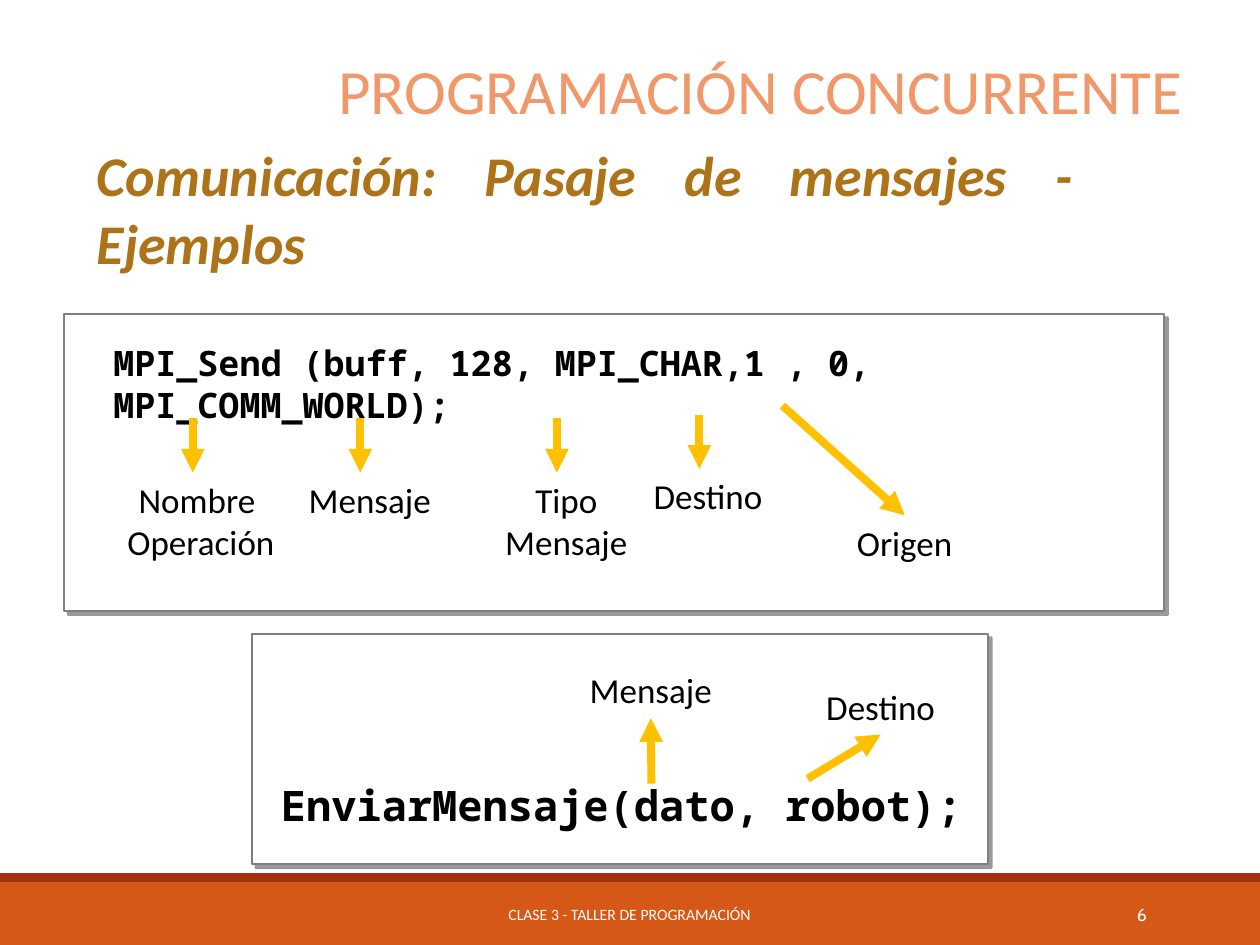
from pptx import Presentation
from pptx.dml.color import RGBColor
from pptx.enum import shapes, text
from pptx.oxml import parse_xml
from pptx.oxml.ns import nsdecls
from pptx.util import Inches, Pt

BLACK = RGBColor(0, 0, 0)
WHITE = RGBColor(255, 255, 255)
GRAY = RGBColor(0x7F, 0x7F, 0x7F)
GOLD = RGBColor(0xFF, 0xC0, 0)
BROWN = RGBColor(0xAD, 0x73, 0x18)
PEACH = RGBColor(0xF0, 0x98, 0x69)
ORANGE = RGBColor(0xD5, 0x58, 0x16)
RED = RGBColor(0xA5, 0x30, 0x0F)
MONO = "Noto Sans Mono"
ALIGN = text.PP_ALIGN
TOP, MID = text.MSO_ANCHOR.TOP, text.MSO_ANCHOR.MIDDLE


def write(shape, words, size=20, font="Calibri", color=BLACK, bold=False,
          italic=False, align=ALIGN.CENTER, anchor=TOP, wrap=True, pad=(0.1, 0.05)):
    frame = shape.text_frame
    frame.text = words
    frame.word_wrap = wrap
    frame.auto_size = text.MSO_AUTO_SIZE.NONE
    frame.vertical_anchor = anchor
    frame.margin_left = frame.margin_right = Inches(pad[0])
    frame.margin_top = frame.margin_bottom = Inches(pad[1])
    for para in frame.paragraphs:
        para.alignment = align
        face = para.runs[0].font
        face.name, face.size = font, Pt(size)
        face.bold, face.italic = bold, italic
        face.color.rgb = color
    return shape


def add_text(slide, box, words, **style):
    return write(slide.shapes.add_textbox(*map(Inches, box)), words, **style)


def add_rect(slide, box, fill):
    rect = slide.shapes.add_shape(shapes.MSO_SHAPE.RECTANGLE, *map(Inches, box))
    rect.shadow.inherit = False
    rect.fill.solid()
    rect.fill.fore_color.rgb = fill
    rect.line.fill.background()
    return rect


def add_card(slide, box):
    """White framed box with a hard shadow to the lower right."""
    card = add_rect(slide, box, WHITE)
    card.line.color.rgb = GRAY
    card.line.width = Pt(1.25)
    card._element.spPr.find("{*}effectLst").append(parse_xml(
        f'<a:outerShdw {nsdecls("a")} blurRad="0" dist="{Pt(3)}" dir="2700000" '
        'algn="tl" rotWithShape="0"><a:srgbClr val="000000">'
        '<a:alpha val="40000"/></a:srgbClr></a:outerShdw>'))


def add_arrow(slide, start, end):
    arrow = slide.shapes.add_connector(
        shapes.MSO_CONNECTOR.STRAIGHT, *map(Inches, start + end))
    arrow.line.color.rgb = GOLD
    arrow.line.width = Pt(4.5)
    arrow.line._get_or_add_ln().append(
        parse_xml(f'<a:tailEnd {nsdecls("a")} type="triangle"/>'))
    arrow._element.spPr.append(parse_xml(f'<a:effectLst {nsdecls("a")}/>'))
    return arrow


def add_note(slide, box, words, start, end, side=None):
    """Label and its arrow; side is where the arrow joins the label, if it does."""
    label = add_text(slide, box, words, wrap=False)
    arrow = add_arrow(slide, start, end)
    if side is not None:
        arrow.end_connect(label, side)


def add_send(slide, box):
    x, y, w, h = box
    add_card(slide, box)
    add_text(slide, (x + 0.39, y + 0.22, w - 0.38, 0.67),
             "MPI_Send (buff, 128, MPI_CHAR,1 , 0, MPI_COMM_WORLD);",
             font=MONO, bold=True, align=ALIGN.LEFT, anchor=MID, pad=(0, 0))
    for words, left, top, wide, high, tip in (
            ("Nombre \nOperación", 0.4, 1.26, 1.37, 0.77, 1.02),
            ("Mensaje", 1.84, 1.26, 1.17, 0.44, 2.35),
            ("Tipo\nMensaje", 3.4, 1.26, 1.17, 0.77, 3.91),
            ("Destino", 4.58, 1.23, 1.06, 0.44, 5.04)):
        add_note(slide, (x + left, y + top, wide, high), words,
                 (x + tip, y + top - 0.43), (x + tip, y + top))
    add_note(slide, (x + 6.19, y + 1.6, 0.96, 0.44), "Origen",
             (x + 5.7, y + 0.73), (x + 6.67, y + 1.6), side=0)


def add_call(slide, box):
    x, y, w, h = box
    add_card(slide, box)
    add_text(slide, (x + 0.23, y + 1.16, w - 0.23, 0.4),
             "EnviarMensaje(dato, robot);", size=24, font=MONO, bold=True,
             align=ALIGN.LEFT, anchor=MID, pad=(0, 0))
    add_note(slide, (x + 2.58, y + 0.23, 1.17, 0.44), "Mensaje",
             (x + 3.17, y + 1.19), (x + 3.17, y + 0.68), side=2)
    add_note(slide, (x + 4.46, y + 0.36, 1.06, 0.44), "Destino",
             (x + 4.41, y + 1.15), (x + 4.99, y + 0.79), side=2)


def add_head(slide, box):
    x, y, w, h = box
    title = slide.shapes.title
    title.left, title.top, title.width, title.height = map(Inches, (x + 0.23, y, w - 0.23, 0.7))
    write(title, "PROGRAMACIÓN CONCURRENTE", size=36, color=PEACH, align=ALIGN.RIGHT)
    add_text(slide, (x, y + 0.71, 7.95, 1.17),
             "Comunicación: Pasaje de mensajes - Ejemplos", size=32, color=BROWN,
             bold=True, italic=True, align=ALIGN.JUSTIFY)


def add_foot(slide, box):
    x, y, w, h = box
    add_rect(slide, (x, y + 0.07, w, h - 0.07), ORANGE)
    add_rect(slide, (x, y, w, 0.07), RED)
    add_text(slide, (x + 3.02, y + 0.13, 3.95, 0.4), "CLASE 3 - TALLER DE PROGRAMACIÓN",
             size=9, color=WHITE, anchor=MID)
    add_text(slide, (x + 8.12, y + 0.13, 1.08, 0.4), "6", size=10, font="Cabin",
             color=WHITE, align=ALIGN.RIGHT, anchor=MID)


def main():
    deck = Presentation()
    deck.slide_width, deck.slide_height = Inches(10), Inches(7.5)
    slide = deck.slides.add_slide(deck.slide_layouts[5])
    add_foot(slide, (0, 6.93, 10, 0.57))
    add_call(slide, (2, 5.03, 5.84, 1.83))
    add_send(slide, (0.51, 2.49, 8.73, 2.36))
    add_head(slide, (0.67, 0.36, 8.82, 1.88))
    deck.save("out.pptx")


if __name__ == "__main__":
    main()
